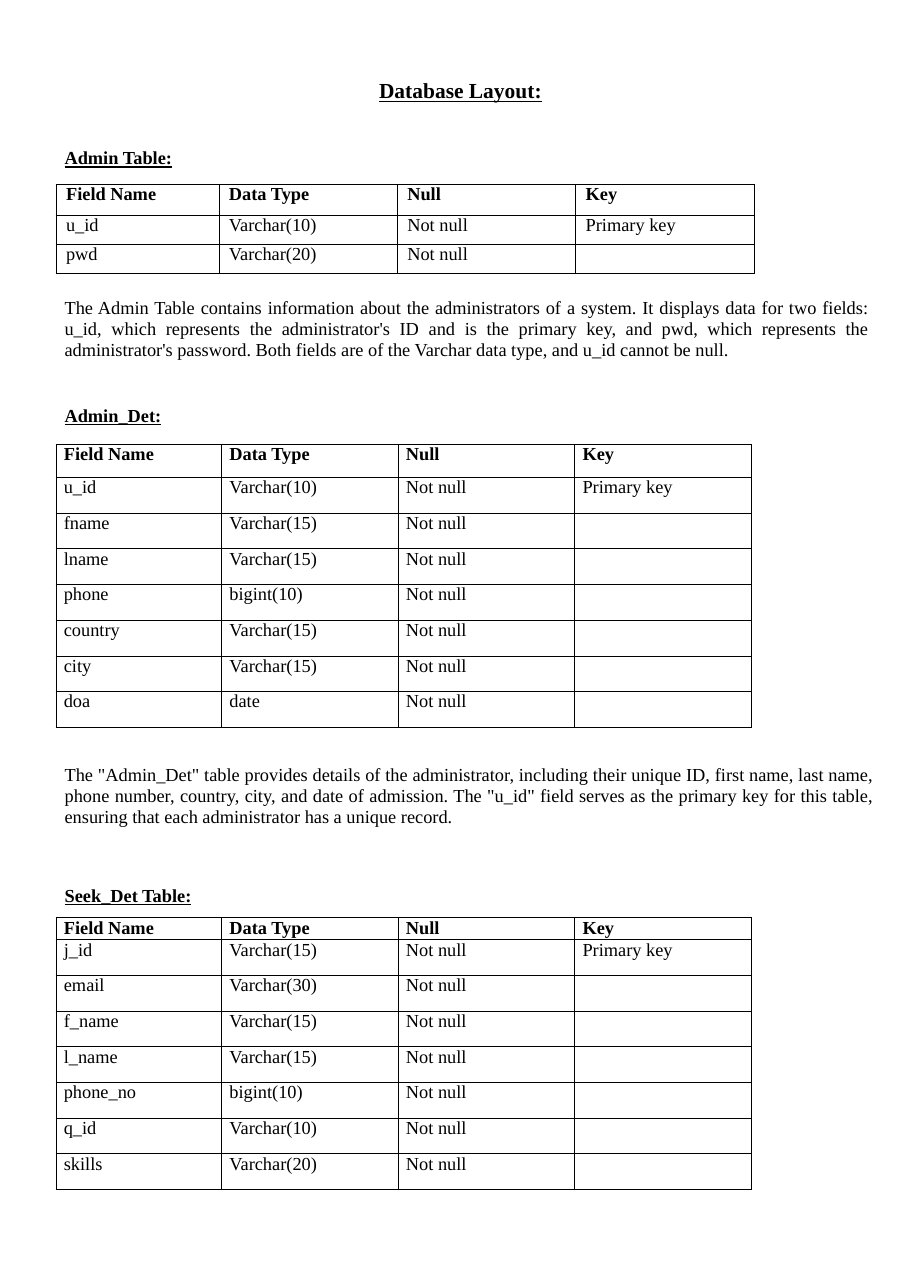
from lxml.etree import SubElement
from pptx import Presentation
from pptx.dml.color import RGBColor
from pptx.enum.text import MSO_ANCHOR as Anchor, MSO_AUTO_SIZE as AutoSize, PP_ALIGN as Align
from pptx.oxml.ns import qn
from pptx.util import Inches, Pt

BLACK = RGBColor(0x00, 0x00, 0x00)
TITLE_ONLY = 5
TEXT_LEFT = 7.1
TABLE_LEFT = 6.17
HEADER = ("Field Name", "Data Type", "Null", "Key")

ADMIN_FIELDS = [("u_id", "Varchar(10)"), ("pwd", "Varchar(20)")]
ADMIN_DET_FIELDS = [
    ("u_id", "Varchar(10)"),
    ("fname", "Varchar(15)"),
    ("lname", "Varchar(15)"),
    ("phone", "bigint(10)"),
    ("country", "Varchar(15)"),
    ("city", "Varchar(15)"),
    ("doa", "date"),
]
SEEK_DET_FIELDS = [
    ("j_id", "Varchar(15)"),
    ("email", "Varchar(30)"),
    ("f_name", "Varchar(15)"),
    ("l_name", "Varchar(15)"),
    ("phone_no", "bigint(10)"),
    ("q_id", "Varchar(10)"),
    ("skills", "Varchar(20)"),
]
ADMIN_TEXT = (
    "The Admin Table contains information about the administrators of a system. "
    "It displays data for two fields: u_id,  which  represents  the  administrator's  ID  "
    "and  is  the  primary  key,  and  pwd,  which  represents  the administrator's password. "
    "Both fields are of the Varchar data type, and u_id cannot be null."
)
ADMIN_DET_TEXT = (
    'The "Admin_Det" table provides details of the administrator, including their unique ID, '
    "first name, last name, phone number, country, city, and date of admission. "
    'The "u_id" field serves as the primary key for this table, '
    "ensuring that each administrator has a unique record."
)


class LayoutPage:
    """Draws the database layout on a grid of 100 columns by 120 rows."""

    font_name = "Times New Roman"
    body_size = Pt(12)
    title_size = Pt(14)
    line_height = Pt(13.8)
    border_width = Pt(0.58)

    def __init__(self, presentation):
        self.column = presentation.slide_width / 100
        self.row = presentation.slide_height / 120
        self.slide = presentation.slides.add_slide(presentation.slide_layouts[TITLE_ONLY])

    def across(self, columns):
        return round(columns * self.column)

    def down(self, rows):
        return round(rows * self.row)

    def box(self, left, top, width, height):
        return self.across(left), self.down(top), self.across(width), self.down(height)

    def frame(self, shape):
        frame = shape.text_frame
        frame.word_wrap = True
        frame.auto_size = AutoSize.NONE
        frame.vertical_anchor = Anchor.TOP
        frame.margin_left = frame.margin_right = frame.margin_top = frame.margin_bottom = 0
        return frame

    def add_text(self, paragraph, text, size=body_size, bold=False, underline=False):
        run = paragraph.add_run()
        run.text = text
        font = run.font
        font.name, font.size, font.bold, font.underline = self.font_name, size, bold, underline
        font.color.rgb = BLACK

    def title(self, text, top):
        shape = self.slide.shapes.title
        shape.left, shape.top, shape.width, shape.height = self.box(TEXT_LEFT, top, 87, 2.5)
        paragraph = self.frame(shape).paragraphs[0]
        paragraph.alignment = Align.CENTER
        self.add_text(paragraph, text, self.title_size, bold=True, underline=True)

    def heading(self, text, top):
        shape = self.slide.shapes.add_textbox(*self.box(TEXT_LEFT, top, 52, 2))
        self.add_text(self.frame(shape).paragraphs[0], text, bold=True, underline=True)

    def description(self, text, next_heading, top, width, height, gap):
        shape = self.slide.shapes.add_textbox(*self.box(TEXT_LEFT, top, width, height))
        frame = self.frame(shape)
        body = frame.paragraphs[0]
        body.alignment = Align.JUSTIFY
        body.line_spacing = self.line_height
        self.add_text(body, text)
        heading = frame.add_paragraph()
        heading.space_before = Pt(gap)
        self.add_text(heading, next_heading, bold=True, underline=True)

    def cell(self, cell, text, indent, bold):
        cell.margin_left = self.across(indent)
        cell.margin_right = cell.margin_top = cell.margin_bottom = 0
        properties = cell._tc.get_or_add_tcPr()
        for side in ("a:lnL", "a:lnR", "a:lnT", "a:lnB"):
            line = SubElement(properties, qn(side), w=str(self.border_width))
            SubElement(SubElement(line, qn("a:solidFill")), qn("a:srgbClr"), val=str(BLACK))
        cell.fill.background()
        paragraph = cell.text_frame.paragraphs[0]
        if text:
            self.add_text(paragraph, text, bold=bold)
        else:
            size = str(round(self.body_size.pt * 100))
            SubElement(paragraph._p, qn("a:endParaRPr"), sz=size)

    def table(self, fields, top, widths, header_height, row_height, indent):
        rows = [HEADER]
        for number, field in enumerate(fields):
            rows.append((*field, "Not null", "" if number else "Primary key"))
        height = header_height + row_height * len(fields)
        area = self.box(TABLE_LEFT, top, sum(widths), height)
        table = self.slide.shapes.add_table(len(rows), len(HEADER), *area).table
        table.first_row = table.horz_banding = False
        for column, width in zip(table.columns, widths):
            column.width = self.across(width)
        for number, values in enumerate(rows):
            table.rows[number].height = self.down(row_height if number else header_height)
            for position, text in enumerate(values):
                self.cell(table.cell(number, position), text, indent, bold=number == 0)


def main():
    presentation = Presentation()
    presentation.slide_width, presentation.slide_height = Inches(8.26), Inches(11.69)
    page = LayoutPage(presentation)
    admin_widths = [17.9] + [19.6] * 3
    detail_widths = [18.2] + [19.4] * 3
    page.title("Database Layout:", 7.2)
    page.heading("Admin Table:", 13.65)
    page.table(ADMIN_FIELDS, 17.2, admin_widths, 2.87, 2.72, 1.1)
    page.description(ADMIN_TEXT, "Admin_Det:", 27.7, 88.5, 11.8, 28.5)
    page.table(ADMIN_DET_FIELDS, 41.4, detail_widths, 3.08, 3.33, 0.85)
    page.description(ADMIN_DET_TEXT, "Seek_Det Table:", 71.2, 89, 13, 37)
    page.table(SEEK_DET_FIELDS, 85.5, detail_widths, 2.05, 3.33, 0.85)
    presentation.save("out.pptx")


if __name__ == "__main__":
    main()
